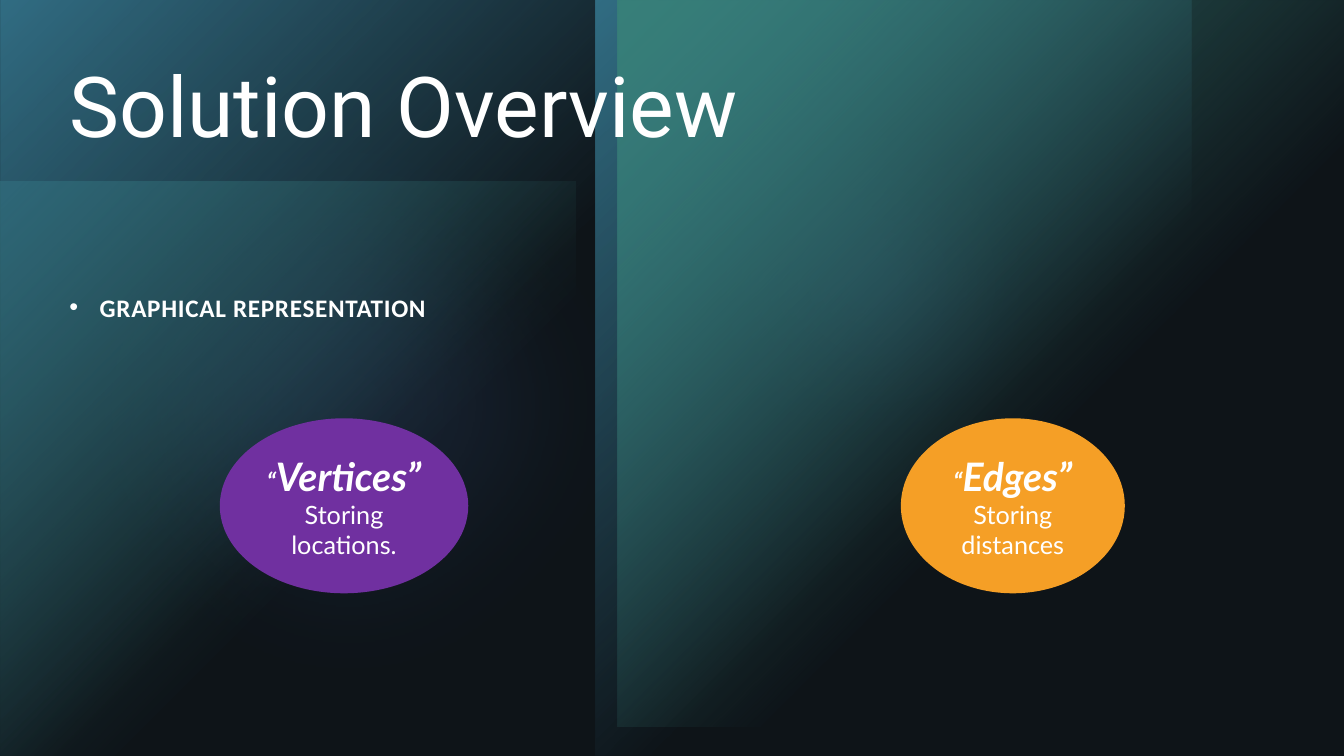
from pptx import Presentation
from pptx.dml.color import RGBColor
from pptx.enum.shapes import MSO_SHAPE
from pptx.enum.text import MSO_ANCHOR, MSO_AUTO_SIZE, PP_ALIGN
from pptx.oxml import parse_xml
from pptx.oxml.ns import nsdecls, qn
from pptx.util import Pt
from lxml.etree import SubElement

COLORS = {"black": "000000", "white": "FFFFFF", "teal": "46B4A1", "blue": "4D74C3",
          "cyan": "3B94B1", "slate": "23323E", "purple": "7030A0", "orange": "F59F26"}


def add_shape(kind, box, color, alpha=100, faded=False):
    """Add a borderless shape; a faded one runs to clear from its top left corner."""
    sp = s.shapes.add_shape(kind, *[Pt(v) for v in box])
    sp.shadow.inherit = False
    sp.line.fill.background()
    sp.fill.background()

    def tint(a):
        return f'<a:srgbClr val="{COLORS[color]}"><a:alpha val="{a * 1000}"/></a:srgbClr>'

    if faded:
        xml = (f'<a:gradFill {nsdecls("a")} rotWithShape="1"><a:gsLst>'
               f'<a:gs pos="0">{tint(alpha)}</a:gs><a:gs pos="60000">{tint(0)}</a:gs></a:gsLst>'
               '<a:path path="circle"><a:fillToRect r="100000" b="100000"/></a:path></a:gradFill>')
    else:
        xml = f'<a:solidFill {nsdecls("a")}>{tint(alpha)}</a:solidFill>'
    props = sp.element.spPr
    props.replace(props.find(qn("a:noFill")), parse_xml(xml))
    return sp


def add_run(p, text, name, size, **formats):
    r = p.add_run()
    r.text = text
    for key, value in {"name": name, "size": Pt(size), **formats}.items():
        setattr(r.font, key, value)
    r.font.color.rgb = RGBColor.from_string(COLORS["white"])
    return r


prs = Presentation()
prs.slide_width, prs.slide_height = Pt(960), Pt(540)
s = prs.slides.add_slide(prs.slide_layouts[5])
s.background.fill.solid()
s.background.fill.fore_color.rgb = RGBColor.from_string(COLORS["black"])

# Background: glowing panels and soft discs under a slate veil
RECT, OVAL = MSO_SHAPE.RECTANGLE, MSO_SHAPE.OVAL
backdrop = [
    # kind, box, colour, alpha, rotation, flips
    (RECT, (0, 129.4, 411, 411), "teal", 60, 0, ["flipV"]),
    (OVAL, (453, 31, 340, 340), "blue", 60, 0, ["flipV"]),
    (OVAL, (0, 40.3, 499.7, 499.7), "blue", 20, 0, ["flipV"]),
    (RECT, (0, 0, 425.4, 540), "cyan", 100, 180, ["flipV"]),
    (RECT, (425.4, 0, 425.4, 540), "cyan", 100, 180, ["flipH", "flipV"]),
    (RECT, (441, 0, 519, 519), "teal", 100, 180, ["flipV"]),
]
for kind, box, color, alpha, rotation, flips in backdrop:
    sp = add_shape(kind, box, color, alpha, faded=kind == RECT)
    sp.rotation = rotation
    for flip in flips:
        sp.element.spPr.find(qn("a:xfrm")).set(flip, "1")
    if kind == OVAL:
        effects = sp.element.spPr.find(qn("a:effectLst"))
        SubElement(effects, qn("a:softEdge"), rad=str(Pt(100)))
add_shape(RECT, (0, 0, 960, 540), "slate", 40)

# Title, brought in front of the background
title = s.shapes.title
s.shapes.element.append(title.element)
title.left, title.top, title.width, title.height = Pt(42.5), Pt(42.5), Pt(874), Pt(142.5)
tf = title.text_frame
tf.auto_size, tf.vertical_anchor = MSO_AUTO_SIZE.NONE, MSO_ANCHOR.TOP
p = tf.paragraphs[0]
p.alignment, p.line_spacing = PP_ALIGN.LEFT, 0.9
add_run(p, "Solution Overview", "Roboto", 60)

# Bulleted heading
tf = s.shapes.add_textbox(Pt(42.5), Pt(199.5), Pt(874), Pt(297.5)).text_frame
tf.word_wrap = True
p = tf.paragraphs[0]
p.line_spacing, p.space_before = 1.25, Pt(10)
r = add_run(p, "GRAPHICAL REPRESENTATION", "Calibri", 18, bold=True)
r.font._element.set("spc", "50")
pPr = p._p.get_or_add_pPr()
pPr.set("marL", str(Pt(21.6)))
pPr.set("indent", str(-Pt(21.6)))
SubElement(pPr, qn("a:buFont"), typeface="Arial")
SubElement(pPr, qn("a:buChar"), char="•")

# Graph parts
ovals = [(157, 177.5, "purple", "Vertices”", "Storing locations."),
         (643.5, 160, "orange", "Edges”", "Storing distances")]
for left, width, color, term, role in ovals:
    tf = add_shape(OVAL, (left, 298.8, width, 125), color).text_frame
    tf.word_wrap, tf.vertical_anchor = True, MSO_ANCHOR.MIDDLE
    tf.margin_left = tf.margin_right = tf.margin_top = tf.margin_bottom = 0
    p = tf.paragraphs[0]
    p.alignment = PP_ALIGN.CENTER
    add_run(p, "“", "Lato", 18, bold=True, italic=True)
    add_run(p, term, "Lato", 28, bold=True, italic=True)
    p = tf.add_paragraph()
    p.alignment = PP_ALIGN.CENTER
    add_run(p, role, "Lato", 18)

prs.save("out.pptx")
